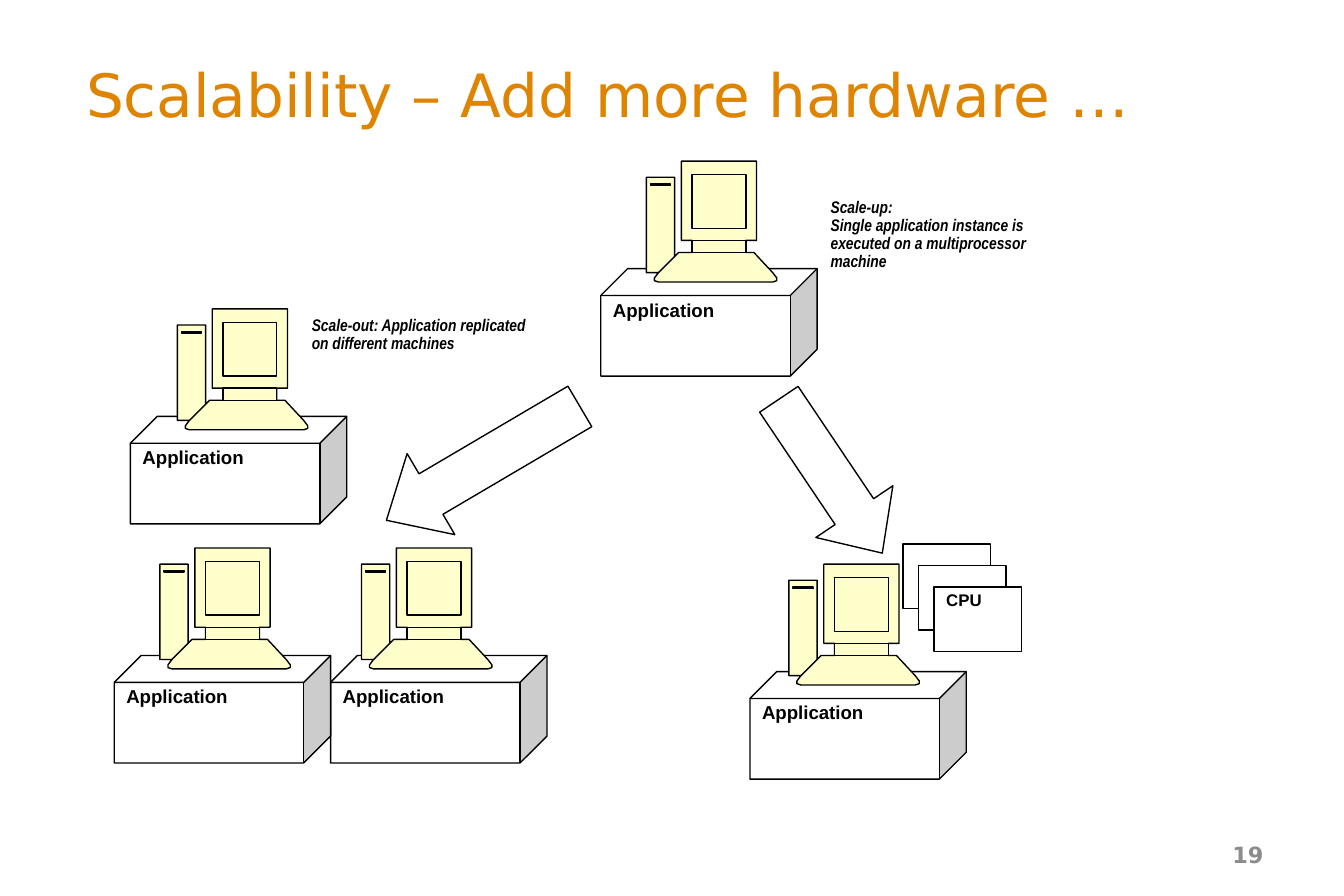
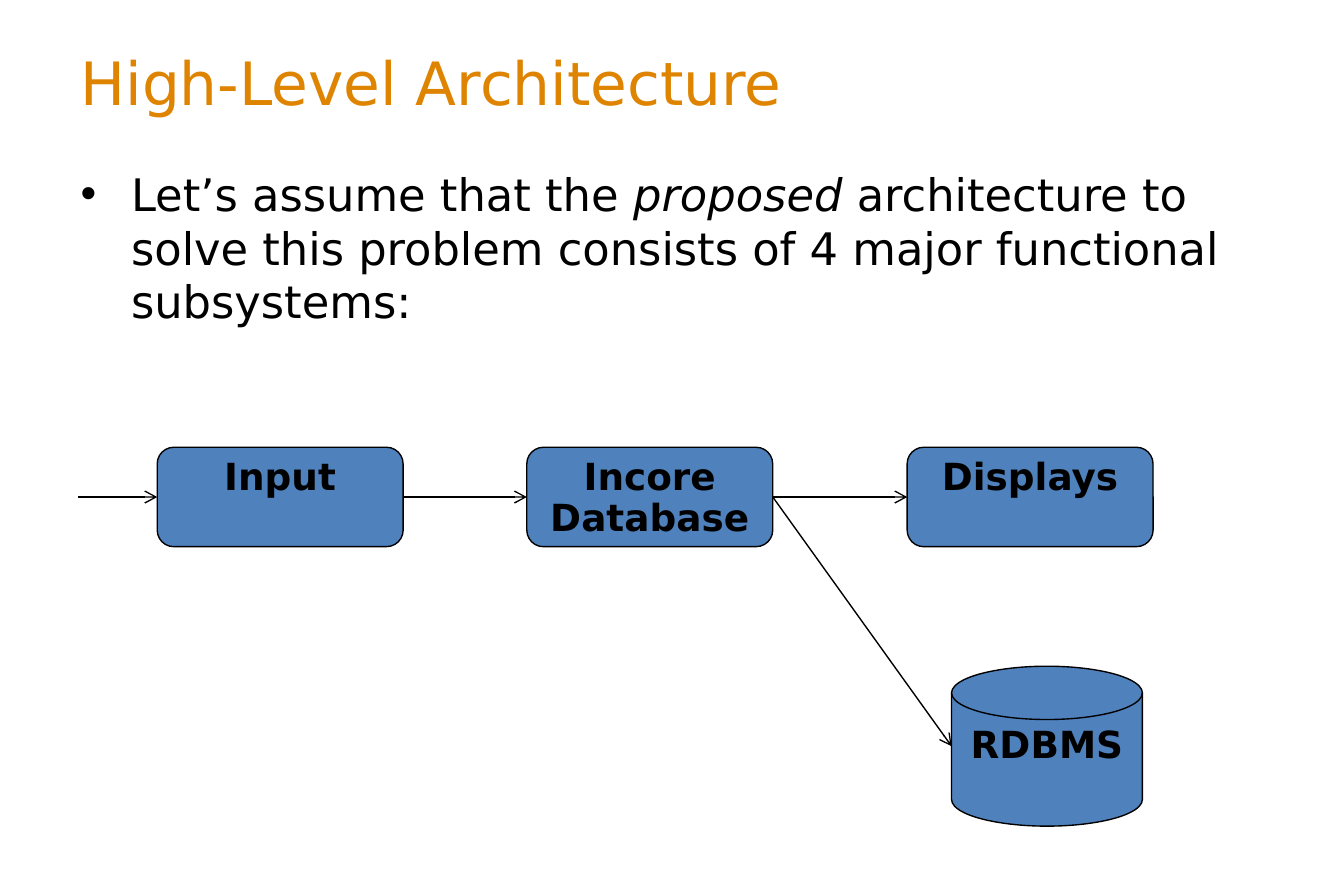
from copy import deepcopy
from dataclasses import dataclass
from typing import Optional

from lxml.etree import SubElement
from pptx import Presentation
from pptx.dml.color import RGBColor
from pptx.enum.shapes import MSO_CONNECTOR, MSO_SHAPE
from pptx.enum.text import MSO_ANCHOR, MSO_AUTO_SIZE, PP_ALIGN
from pptx.oxml.ns import qn
from pptx.util import Inches, Pt

ORANGE = RGBColor(0xDE, 0x84, 0x00)
BLACK = RGBColor(0x00, 0x00, 0x00)
WHITE = RGBColor(0xFF, 0xFF, 0xFF)
CREAM = RGBColor(0xFF, 0xFF, 0xCC)
BLUE = RGBColor(0x4F, 0x81, 0xBD)
GRAY = RGBColor(0x8C, 0x8C, 0x8C)
SANS, ARIAL, NARROW = "DejaVu Sans", "Arial", "Arial Narrow"
THIN = Pt(0.75)


@dataclass(frozen=True)
class Box:
    """Left, top, width and height in inches."""
    x: float
    y: float
    w: float
    h: float

    def emu(self) -> tuple:
        """Give the four lengths as python-pptx wants them."""
        return tuple(Inches(v) for v in (self.x, self.y, self.w, self.h))


@dataclass(frozen=True)
class Font:
    """Look of a piece of text."""
    name: str
    size: float
    color: RGBColor = BLACK
    bold: Optional[bool] = None
    italic: Optional[bool] = None


@dataclass(frozen=True)
class Node:
    """A host: corner of its cube, and how far right the computer stands."""
    x: float
    y: float
    shift: float


@dataclass(frozen=True)
class Part:
    """A labelled subsystem."""
    label: str
    kind: MSO_SHAPE
    box: Box


TITLE = Font(SANS, 32, ORANGE)
BODY = Font(SANS, 24)
LABEL = Font(SANS, 20, bold=True)
APP = Font(ARIAL, 10, bold=True)
CPU = Font(ARIAL, 9, bold=True)
NOTE = Font(NARROW, 9, bold=True, italic=True)
PAGE = Font(SANS, 12, GRAY, bold=True)


def style(run, font: Font) -> None:
    """Format one run."""
    run.font.name, run.font.size = font.name, Pt(font.size)
    run.font.bold, run.font.italic = font.bold, font.italic
    run.font.color.rgb = font.color


def write(shape, text: str, font: Font, align=PP_ALIGN.LEFT,
          space: Optional[float] = None, anchor=MSO_ANCHOR.TOP) -> None:
    """Fill a shape with formatted text."""
    frame = shape.text_frame
    frame.text = text
    frame.word_wrap = True
    frame.auto_size = MSO_AUTO_SIZE.NONE
    frame.vertical_anchor = anchor
    for para in frame.paragraphs:
        para.alignment = align
        para.line_spacing = space
        for run in para.runs:
            style(run, font)


def trim(shape) -> None:
    """Set the narrow margins of the hardware labels."""
    frame = shape.text_frame
    frame.margin_left = frame.margin_right = Inches(0.09)
    frame.margin_top = frame.margin_bottom = Inches(0.04)


def place(shape, box: Box) -> None:
    """Move and size a placeholder."""
    shape.left, shape.top, shape.width, shape.height = box.emu()


def start(deck, layout: int, title: str, box: Box):
    """Add a slide with its title."""
    slide = deck.slides.add_slide(deck.slide_layouts[layout])
    head = slide.shapes.title
    place(head, box)
    write(head, title, TITLE, anchor=MSO_ANCHOR.MIDDLE)
    return slide


def paint(shape, fill: Optional[RGBColor]) -> None:
    """Give a shape a flat fill and a thin black outline."""
    shape.shadow.inherit = False
    if fill is None:
        shape.fill.background()
    else:
        shape.fill.solid()
        shape.fill.fore_color.rgb = fill
    shape.line.color.rgb = BLACK
    shape.line.width = THIN


def draw(slide, kind, box: Box, fill: Optional[RGBColor]):
    """Add a painted preset shape."""
    shape = slide.shapes.add_shape(kind, *box.emu())
    paint(shape, fill)
    return shape


def note(slide, text: str, box: Box) -> None:
    """Add an italic remark."""
    shape = slide.shapes.add_textbox(*box.emu())
    write(shape, text, NOTE, space=0.9)
    trim(shape)


def rect(x: int, y: int, w: int, h: int) -> list:
    """List the corners of a closed rectangle."""
    return [(x, y), (x + w, y), (x + w, y + h), (x, y + h), (x, y)]


# Computer outlines, in hundredths of an inch
BODY_LINE = [(21, 71), (24, 68), (34, 68), (34, 59), (26, 59), (26, 0),
             (82, 0), (82, 59), (74, 59), (74, 68), (80, 68), (94, 83),
             (97, 87), (97, 89), (94, 90), (9, 90), (6, 89), (6, 87),
             (9, 83), (0, 83), (0, 12), (21, 12), (21, 71)]
EDGE = [(21, 71), (9, 83), (21, 71)]
SCREEN = rect(34, 10, 40, 40)
SLOT = rect(3, 17, 15, 1)
NECK = rect(34, 59, 40, 9)


def computer(slide, x: float, y: float) -> None:
    """Draw a tower with screen and keyboard as one freeform."""
    pen = slide.shapes.build_freeform(*BODY_LINE[0], scale=Inches(0.01))
    pen.add_line_segments(BODY_LINE[1:])
    for line in (EDGE, SCREEN, SLOT, NECK):
        pen.move_to(*line[0])
        pen.add_line_segments(line[1:])
    shape = pen.convert_to_shape(Inches(x), Inches(y))
    paint(shape, CREAM)
    split(shape)


def split(shape) -> None:
    """Fill each contour by itself, so that inner ones leave no holes."""
    whole = next(shape._element.iter(qn("a:path")))
    group = whole.getparent()
    steps = list(whole)
    for step in steps:
        whole.remove(step)
    blank = deepcopy(whole)
    group.remove(whole)
    for step in steps:
        if step.tag == qn("a:moveTo"):
            piece = deepcopy(blank)
            group.append(piece)
        piece.append(step)


def host(slide, node: Node) -> None:
    """Draw an application cube with a computer on it."""
    cube = draw(slide, MSO_SHAPE.CUBE, Box(node.x, node.y, 1.61, 0.8), WHITE)
    cube.adjustments[0] = 0.25
    write(cube, "Application", APP, space=0.9)
    trim(cube)
    computer(slide, node.x + node.shift, node.y - 0.8)


def arrow(slide, box: Box, turn: float, tip: float) -> None:
    """Draw a turned block arrow."""
    shape = draw(slide, MSO_SHAPE.LEFT_ARROW, box, WHITE)
    shape.adjustments[0], shape.adjustments[1] = 0.5, tip
    shape.rotation = turn


def link(slide, x1: float, y1: float, x2: float, y2: float) -> None:
    """Draw a thin line with an open arrowhead at its end."""
    line = slide.shapes.add_connector(
        MSO_CONNECTOR.STRAIGHT, *(Inches(v) for v in (x1, y1, x2, y2)))
    line.line.color.rgb = BLACK
    line.line.width = THIN
    props = line._element.spPr
    SubElement(props.find(qn("a:ln")), qn("a:tailEnd"), type="arrow")
    SubElement(props, qn("a:effectLst"))


def scaling(deck) -> None:
    """Build the slide on scaling out and up."""
    slide = start(deck, 5, "Scalability – Add more hardware …",
                  Box(0.54, 0.25, 9, 0.89))
    for node in (Node(4.47, 2, 0.34), Node(2.46, 4.88, 0.23),
                 Node(0.85, 4.88, 0.34), Node(5.58, 5, 0.29),
                 Node(0.97, 3.1, 0.35)):
        host(slide, node)
    arrow(slide, Box(2.76, 3.1, 1.67, 0.7), 329.5, 0.55)
    arrow(slide, Box(5.49, 3.2, 1.38, 0.69), 236.1, 0.54)
    note(slide, "Scale-out: Application replicated on different machines",
         Box(2.23, 2.32, 1.84, 0.8))
    note(slide, "Scale-up:\nSingle application instance is executed on a "
         "multiprocessor machine", Box(6.09, 1.44, 1.79, 1.19))
    for i, fill in enumerate((None, WHITE, WHITE)):
        chip = draw(slide, MSO_SHAPE.RECTANGLE,
                    Box(6.72 + 0.115 * i, 4.05 + 0.16 * i, 0.65, 0.48), fill)
    write(chip, "CPU", CPU, space=0.9)
    trim(chip)
    page = slide.shapes.add_textbox(*Box(7.17, 6.18, 2.33, 0.36).emu())
    write(page, "19", PAGE, PP_ALIGN.RIGHT, anchor=MSO_ANCHOR.MIDDLE)


def layers(deck) -> None:
    """Build the slide on the four subsystems."""
    slide = start(deck, 1, "High-Level Architecture", Box(0.5, 0.27, 9, 0.68))
    body = slide.placeholders[1]
    place(body, Box(0.5, 1.19, 9, 1.55))
    write(body, "Let’s assume that the ", BODY)
    para = body.text_frame.paragraphs[0]
    for text, slant in (("proposed", True),
                        (" architecture to solve this problem consists of "
                         "4 major functional subsystems:", None)):
        run = para.add_run()
        run.text = text
        style(run, Font(SANS, 24, italic=slant))

    wide, mid = 1.83, 3.7
    left, core, right = 1.17, 3.92, 6.75
    parts = [Part(label, MSO_SHAPE.ROUNDED_RECTANGLE,
                  Box(x, 3.33, wide, 0.74))
             for label, x in (("Input", left), ("Incore Database", core),
                              ("Displays", right))]
    disk = Part("RDBMS", MSO_SHAPE.FLOWCHART_MAGNETIC_DISK,
                Box(7.08, 4.96, 1.42, 1.19))
    for part in parts + [disk]:
        shape = draw(slide, part.kind, part.box, BLUE)
        write(shape, part.label, LABEL, PP_ALIGN.CENTER, 0.9)
    for x1, x2 in ((0.58, left), (left + wide, core), (core + wide, right)):
        link(slide, x1, mid, x2, mid)
    link(slide, core + wide, mid, disk.box.x, disk.box.y + disk.box.h / 2)


def main() -> None:
    """Build and save the deck."""
    deck = Presentation()
    deck.slide_width, deck.slide_height = Inches(10), Inches(6.67)
    scaling(deck)
    layers(deck)
    deck.save("out.pptx")


main()
